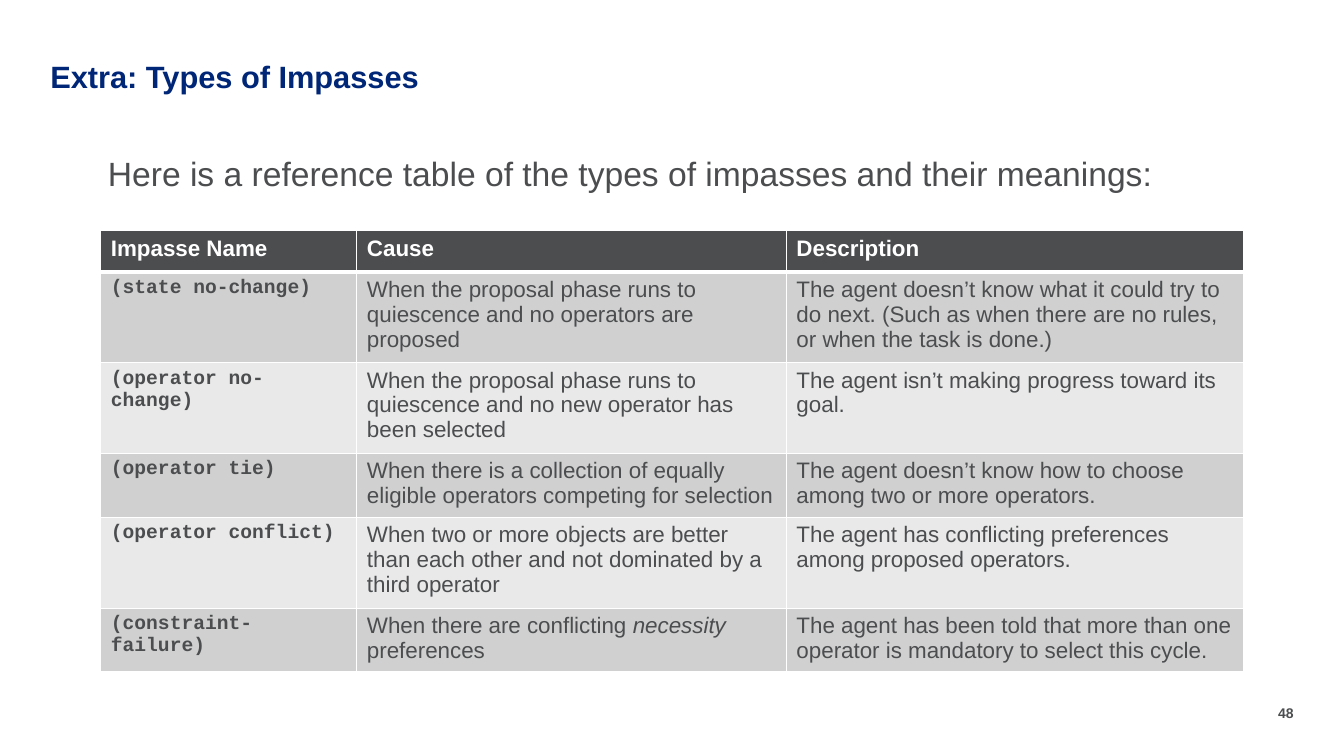
from lxml import etree
from pptx import Presentation
from pptx.dml.color import RGBColor
from pptx.enum.text import PP_ALIGN
from pptx.oxml.ns import qn
from pptx.util import Inches, Pt

RIGHT = PP_ALIGN.RIGHT
COLORS = {
    "title": "002677",
    "text": "4B4D4F",
    "white": "FFFFFF",
    "dark_band": "D0D0D0",
    "light_band": "E9E9E9",
}
BODY_FONT = "Arial"
CODE_FONT = "Courier New"
COLUMN_WIDTHS = (2.54, 4.26, 4.53)
ROW_HEIGHT = 0.41
EMPHASIS = "necessity"

HEADINGS = ("Impasse Name", "Cause", "Description")
IMPASSES = (
    ("(state no-change)",
     "When the proposal phase runs to quiescence and no operators are proposed",
     "The agent doesn’t know what it could try to do next. "
     "(Such as when there are no rules, or when the task is done.)"),
    ("(operator no-change)",
     "When the proposal phase runs to quiescence and no new operator has been selected",
     "The agent isn’t making progress toward its goal."),
    ("(operator tie)",
     "When there is a collection of equally eligible operators competing for selection",
     "The agent doesn’t know how to choose among two or more operators."),
    ("(operator conflict)",
     "When two or more objects are better than each other and not dominated by a third operator",
     "The agent has conflicting preferences among proposed operators."),
    ("(constraint-failure)",
     "When there are conflicting necessity preferences",
     "The agent has been told that more than one operator is mandatory to select this cycle."),
)


def rgb(name):
    return RGBColor.from_string(COLORS[name])


def set_font(para, size, color, bold=False, name=BODY_FONT):
    font = para.font
    font.name, font.size, font.bold = name, Pt(size), bold
    font.color.rgb = rgb(color)


def add_text(page, text, left, top, width, height, size, color, bold=False, wrap=True):
    """Add a one-paragraph text box without margins and return its paragraph."""
    box = page.shapes.add_textbox(Inches(left), Inches(top), Inches(width), Inches(height))
    frame = box.text_frame
    frame.word_wrap = wrap
    frame.margin_left = frame.margin_top = frame.margin_right = frame.margin_bottom = 0
    para = frame.paragraphs[0]
    para.add_run().text = text
    set_font(para, size, color, bold)
    return para


def set_borders(cell, bottom=1):
    """Draw white cell borders; widths are in points."""
    properties = cell._tc.get_or_add_tcPr()
    for side, width in (("L", 1), ("R", 1), ("T", 1), ("B", bottom)):
        line = etree.SubElement(properties, qn(f"a:ln{side}"), w=str(Pt(width)))
        fill = etree.SubElement(line, qn("a:solidFill"))
        etree.SubElement(fill, qn("a:srgbClr"), val=COLORS["white"])


def fill_cell(cell, text, fill, size, color, bold=False, name=BODY_FONT, bottom=1):
    set_borders(cell, bottom)
    cell.fill.solid()
    cell.fill.fore_color.rgb = rgb(fill)
    para = cell.text_frame.paragraphs[0]
    before, emphasis, after = text.partition(EMPHASIS)
    for part in filter(None, (before, emphasis, after)):
        span = para.add_run()
        span.text = part
        if part == EMPHASIS:
            span.font.italic = True
    set_font(para, size, color, bold, name)


def add_impasse_table(page, left, top):
    row_count = len(IMPASSES) + 1
    table = page.shapes.add_table(
        row_count, len(HEADINGS), Inches(left), Inches(top),
        Inches(sum(COLUMN_WIDTHS)), Inches(ROW_HEIGHT * row_count)).table
    for column, width in zip(table.columns, COLUMN_WIDTHS):
        column.width = Inches(width)
    for column, heading in enumerate(HEADINGS):
        fill_cell(table.cell(0, column), heading, "text", 16, "white", bold=True, bottom=3)
    for row, (impasse, *details) in enumerate(IMPASSES, start=1):
        band = "dark_band" if row % 2 else "light_band"
        fill_cell(table.cell(row, 0), impasse, band, 14, "text", bold=True, name=CODE_FONT)
        for column, detail in enumerate(details, start=1):
            fill_cell(table.cell(row, column), detail, band, 16, "text")


def main():
    deck = Presentation()
    deck.slide_width, deck.slide_height = Inches(13.33), Inches(7.5)
    page = deck.slides.add_slide(deck.slide_layouts[6])

    number = add_text(page, "48", 12.66, 6.99, 0.17, 0.17, 10, "text", bold=True, wrap=False)
    number.alignment = RIGHT
    title = add_text(page, "Extra: Types of Impasses", 0.5, 0.61, 10.5, 0.33, 22, "title", bold=True)
    title.line_spacing = 0.9
    add_text(page, "Here is a reference table of the types of impasses and their meanings:",
             1.07, 1.52, 10.6, 0.77, 24, "text")
    add_impasse_table(page, 1, 2.29)
    deck.save("out.pptx")


if __name__ == "__main__":
    main()
